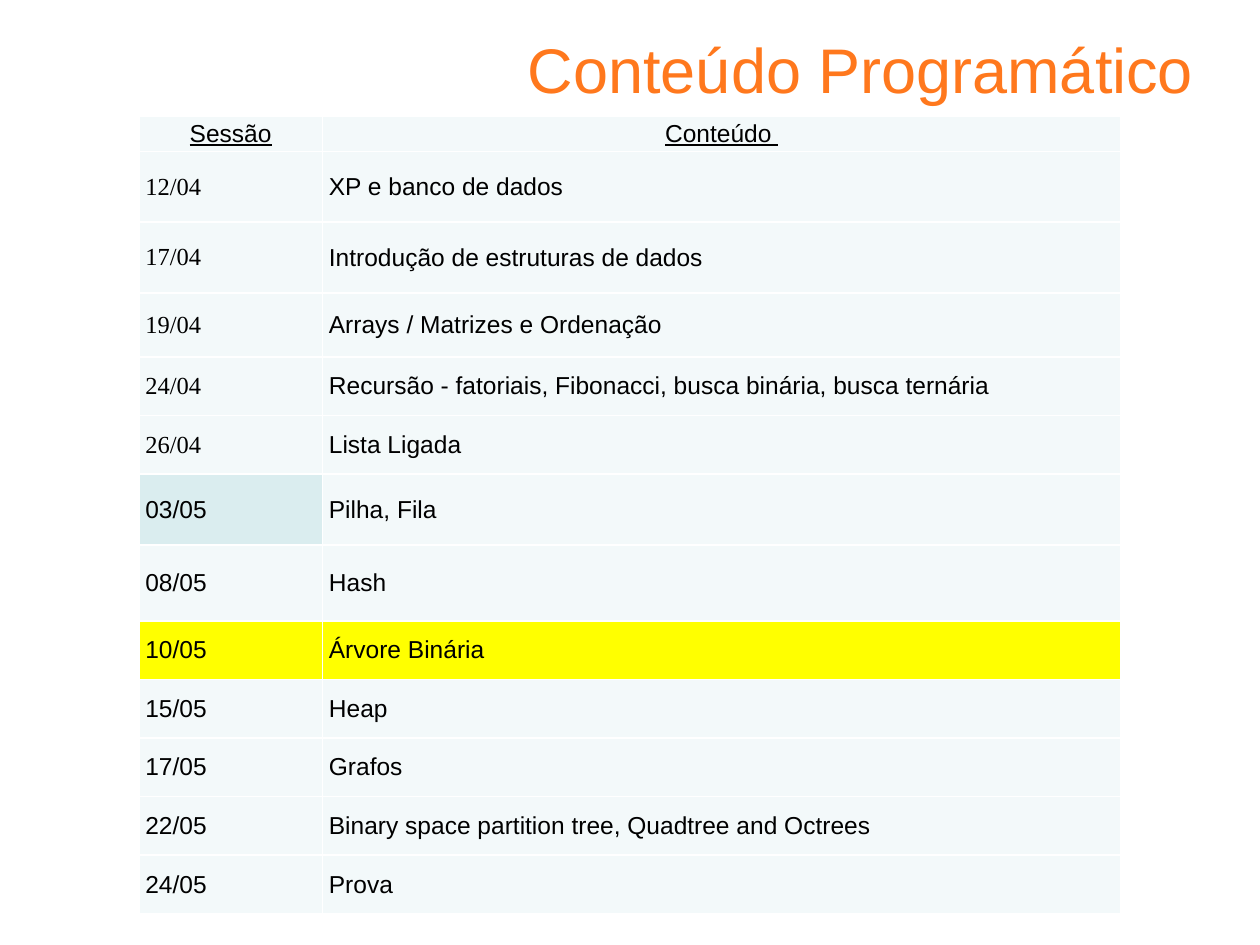
from dataclasses import dataclass

from lxml.etree import SubElement
from pptx import Presentation
from pptx.dml.color import RGBColor
from pptx.enum.text import MSO_ANCHOR as Anchor, MSO_AUTO_SIZE as AutoSize, PP_ALIGN as Align
from pptx.oxml.ns import qn
from pptx.util import Cm, Pt


@dataclass(frozen=True)
class Theme:
    sans: str = "Arial"
    serif: str = "Times New Roman"
    title_size: int = 36
    table_size: int = 14
    title: str = "FF781D"
    text: str = "000000"
    cell: str = "F3F9FA"
    accent: str = "DAEDEF"
    highlight: str = "FFFF00"
    border: str = "FFFFFF"


class SlideBuilder:
    def __init__(self, presentation, theme):
        self.theme = theme
        self.slide = presentation.slides.add_slide(presentation.slide_layouts[5])

    def add_text(self, frame, text, size, color, align, font, underline=False):
        paragraph = frame.paragraphs[0]
        paragraph.alignment = align
        run = paragraph.add_run()
        run.text = text
        run.font.name = font
        run.font.size = Pt(size)
        run.font.underline = underline
        run.font.color.rgb = RGBColor.from_string(color)

    def title(self, text, left, top, width, height):
        shape = self.slide.shapes.title
        shape.left, shape.top, shape.width, shape.height = map(Cm, (left, top, width, height))
        frame = shape.text_frame
        frame.auto_size = AutoSize.NONE
        frame.vertical_anchor = Anchor.TOP
        frame.margin_top, frame.margin_bottom = Cm(0.26), 0
        self.add_text(frame, text, self.theme.title_size, self.theme.title,
                      Align.RIGHT, self.theme.sans)

    def table(self, rows, left, top, column_widths, row_heights):
        frame = self.slide.shapes.add_table(
            len(rows), len(column_widths), Cm(left), Cm(top),
            Cm(sum(column_widths)), Cm(sum(row_heights)))
        table = frame.table
        table.horz_banding = False
        for column, width in zip(table.columns, column_widths):
            column.width = Cm(width)
        for row, height in zip(table.rows, row_heights):
            row.height = Cm(height)
        return table

    def cell(self, cell, text, fill, font, header):
        cell.margin_left = cell.margin_right = Cm(0.13)
        cell.margin_top = cell.margin_bottom = 0
        cell.vertical_anchor = Anchor.MIDDLE
        self.add_text(cell.text_frame, text, self.theme.table_size, self.theme.text,
                      Align.CENTER if header else Align.JUSTIFY, font, underline=header)
        self.borders(cell)
        cell.fill.solid()
        cell.fill.fore_color.rgb = RGBColor.from_string(fill)

    def borders(self, cell):
        properties = cell._tc.get_or_add_tcPr()
        for side in ("a:lnL", "a:lnR", "a:lnT", "a:lnB"):
            line = SubElement(properties, qn(side), w=str(Pt(1)))
            solid = SubElement(line, qn("a:solidFill"))
            SubElement(solid, qn("a:srgbClr"), val=self.theme.border)


SCHEDULE = [
    # session, content, row height in cm
    ("Sessão", "Conteúdo ", 0.71),
    ("12/04", "XP e banco de dados", 1.43),
    ("17/04", "Introdução de estruturas de dados", 1.43),
    ("19/04", "Arrays / Matrizes e Ordenação", 1.29),
    ("24/04", "Recursão - fatoriais, Fibonacci, busca binária, busca ternária", 1.18),
    ("26/04", "Lista Ligada", 1.18),
    ("03/05", "Pilha, Fila", 1.43),
    ("08/05", "Hash", 1.53),
    ("10/05", "Árvore Binária", 1.18),
    ("15/05", "Heap", 1.18),
    ("17/05", "Grafos", 1.18),
    ("22/05", "Binary space partition tree, Quadtree and Octrees", 1.18),
    ("24/05", "Prova", 1.18),
]


def main():
    presentation = Presentation()
    presentation.slide_width, presentation.slide_height = Cm(25.4), Cm(19.05)
    theme = Theme()
    builder = SlideBuilder(presentation, theme)

    # Title
    builder.title("Conteúdo Programático", 6.1, 0.36, 18.21, 1.78)

    # Class schedule: April dates are in serif, the current class is highlighted
    table = builder.table(SCHEDULE, 2.8, 2.34, (3.7, 16.1), [row[2] for row in SCHEDULE])
    fills = {("03/05", 0): theme.accent,
             ("10/05", 0): theme.highlight, ("10/05", 1): theme.highlight}
    for row, (session, content, _) in enumerate(SCHEDULE):
        for column, text in enumerate((session, content)):
            serif = column == 0 and session.endswith("/04")
            builder.cell(table.cell(row, column), text,
                         fills.get((session, column), theme.cell),
                         theme.serif if serif else theme.sans, header=row == 0)

    presentation.save("out.pptx")


if __name__ == "__main__":
    main()
